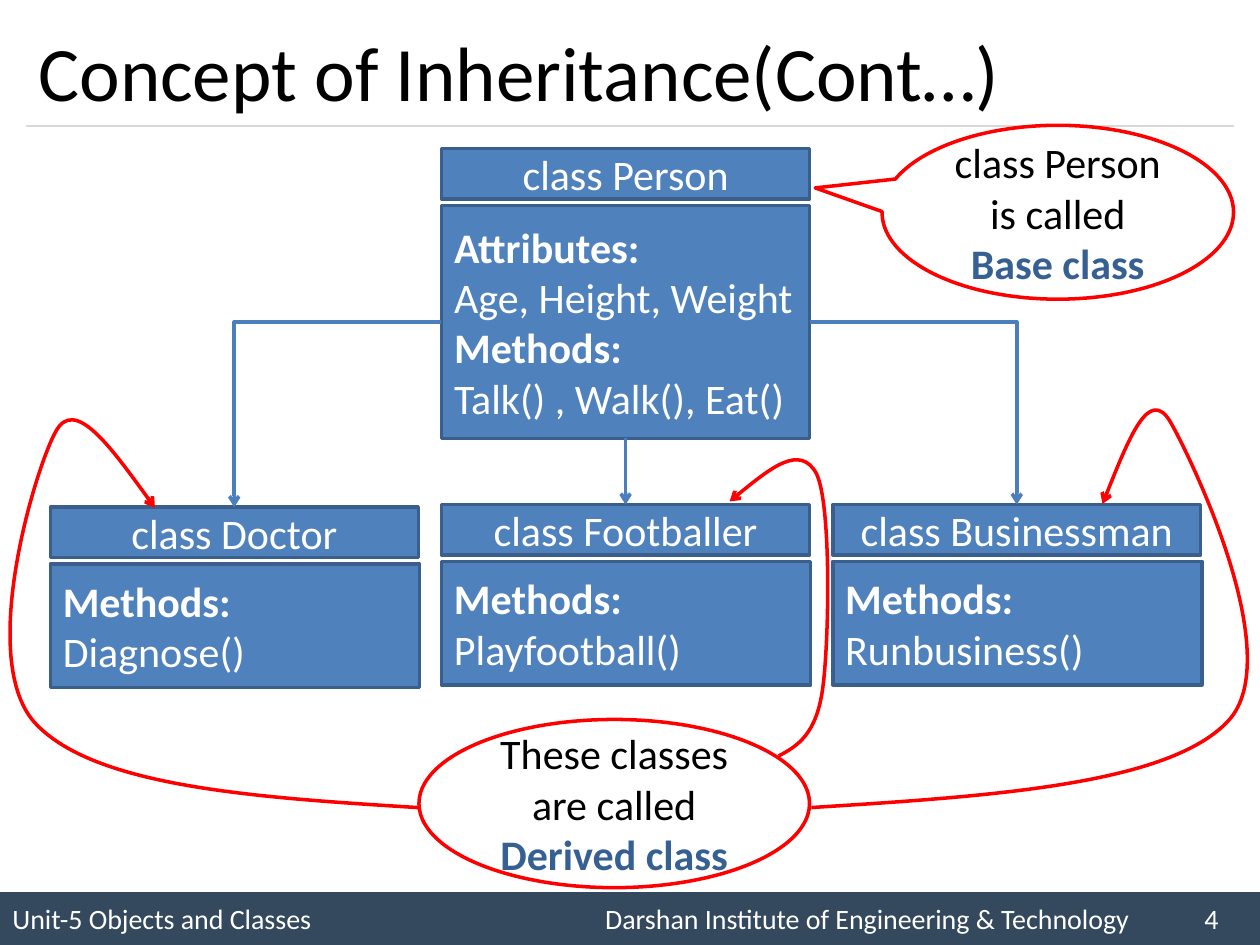
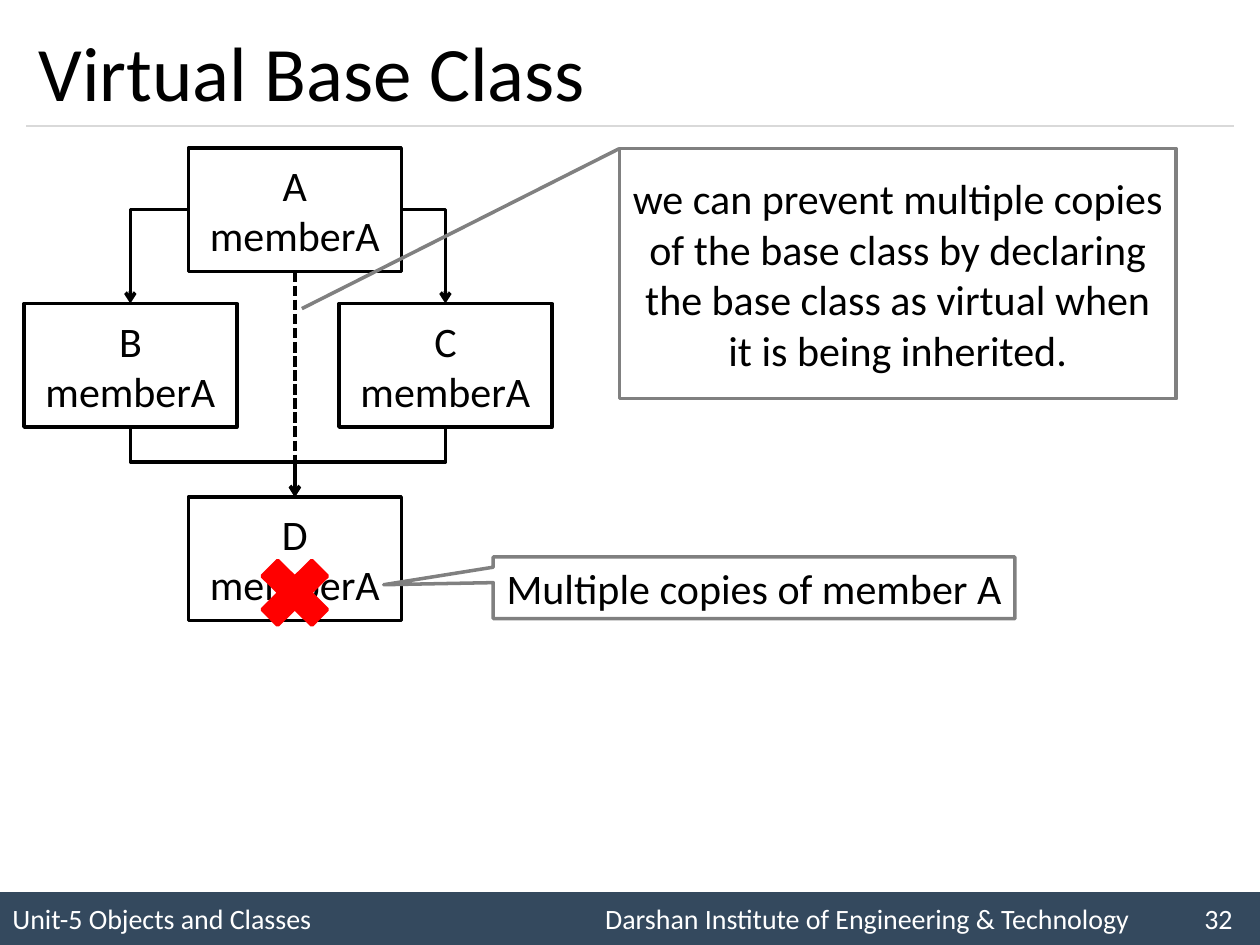
from lxml.etree import SubElement
from pptx import Presentation
from pptx.dml.color import RGBColor
from pptx.enum.dml import MSO_LINE
from pptx.enum.shapes import MSO_CONNECTOR, MSO_SHAPE
from pptx.enum.text import MSO_ANCHOR, PP_ALIGN
from pptx.oxml.ns import qn
from pptx.util import Inches, Pt

WHITE = RGBColor(0xFF, 0xFF, 0xFF)
BLACK = RGBColor(0x00, 0x00, 0x00)
RED = RGBColor(0xFF, 0x00, 0x00)
GRAY = RGBColor(0x80, 0x80, 0x80)
RULE_GRAY = RGBColor(0xD9, 0xD9, 0xD9)
SLATE = RGBColor(0x34, 0x49, 0x5E)
BLUE = RGBColor(0x4F, 0x81, 0xBD)
BLUE_EDGE = RGBColor(0x3A, 0x5F, 0x8C)
BLUE_LINE = RGBColor(0x4B, 0x7E, 0xBC)
TERM_BLUE = RGBColor(0x37, 0x60, 0x92)

FONT = "Calibri"
COLUMNS, ROWS = 100, 75
TOP, LEFT, BOTTOM, RIGHT = range(4)
UNIT = "Unit-5 Objects and Classes"
INSTITUTE = "Darshan Institute of Engineering & Technology"


def write_text(frame, paragraphs, size=24, color=BLACK, align=PP_ALIGN.LEFT, tabs=()):
    """Fill a frame; a paragraph is a list of (text, font overrides) runs."""
    frame.word_wrap = True
    frame.vertical_anchor = MSO_ANCHOR.MIDDLE
    for index, runs in enumerate(paragraphs):
        paragraph = frame.add_paragraph() if index else frame.paragraphs[0]
        paragraph.alignment = align
        if tabs:
            tab_list = SubElement(paragraph._p.get_or_add_pPr(), qn("a:tabLst"))
            for position in tabs:
                SubElement(tab_list, qn("a:tab"), pos=str(position), algn="l")
        for text, overrides in runs:
            run = paragraph.add_run()
            run.text = text
            run.font.name = FONT
            run.font.size = Pt(size)
            run.font.bold = overrides.get("bold", False)
            run.font.color.rgb = overrides.get("color", color)


def plain(*lines):
    return [[(line, {})] for line in lines]


def heading(text):
    return [(text, {"bold": True})]


def bezier(start, control_1, control_2, end, steps=40):
    """Points along a cubic curve, without its start."""
    points = []
    for step in range(1, steps + 1):
        t = step / steps
        weights = ((1 - t) ** 3, 3 * t * (1 - t) ** 2, 3 * t * t * (1 - t), t ** 3)
        points.append(tuple(
            sum(weight * value for weight, value in zip(weights, axis))
            for axis in zip(start, control_1, control_2, end)))
    return points


class Deck:
    """Slide style and drawing methods; lengths are grid columns and rows."""

    def __init__(self):
        self.presentation = Presentation()
        self.presentation.slide_width = Inches(10)
        self.presentation.slide_height = Inches(7.5)
        self.column = self.presentation.slide_width / COLUMNS
        self.row = self.presentation.slide_height / ROWS
        self.slide = None

    def x(self, columns):
        return round(columns * self.column)

    def y(self, rows):
        return round(rows * self.row)

    def start_slide(self, title, number):
        self.slide = self.presentation.slides.add_slide(self.presentation.slide_layouts[5])
        placeholder = self.slide.shapes.title
        placeholder.left, placeholder.top = self.x(2.05), self.y(1.2)
        placeholder.width, placeholder.height = self.x(95.8), self.y(8.8)
        write_text(placeholder.text_frame, plain(title), size=44)
        self.box(0, 70.8, COLUMNS, 4.2, plain(f"{UNIT}\t{INSTITUTE}\t{number}"),
                 fill=SLATE, size=16, color=WHITE, tabs=(self.x(47.05), self.x(94.6)))
        self.line((2.1, 10), (97.9, 10), RULE_GRAY, width=0.75)

    def box(self, left, top, width, height, paragraphs=(), kind=MSO_SHAPE.RECTANGLE,
            fill=None, edge=None, adjustments=(), **text_format):
        shape = self.slide.shapes.add_shape(
            kind, self.x(left), self.y(top), self.x(width), self.y(height))
        for index, value in enumerate(adjustments):
            shape.adjustments[index] = value
        self.paint(shape, fill, edge)
        if paragraphs:
            write_text(shape.text_frame, paragraphs, **text_format)
        return shape

    def paint(self, shape, fill, edge):
        shape.shadow.inherit = False
        if fill is None:
            shape.fill.background()
        else:
            shape.fill.solid()
            shape.fill.fore_color.rgb = fill
        if edge is None:
            shape.line.fill.background()
        else:
            self.stroke(shape, edge)

    def stroke(self, shape, color, width=2.0, dash=None, arrow=False):
        shape.line.color.rgb = color
        shape.line.width = Pt(width)
        if dash is not None:
            shape.line.dash_style = dash
        if arrow:
            SubElement(shape._element.spPr.find(qn("a:ln")), qn("a:tailEnd"), type="arrow")

    def line(self, start, end, color, begin=None, **stroke_format):
        connector = self.slide.shapes.add_connector(
            MSO_CONNECTOR.STRAIGHT, self.x(start[0]), self.y(start[1]),
            self.x(end[0]), self.y(end[1]))
        if begin:
            connector.begin_connect(*begin)
        self.stroke(connector, color, **stroke_format)
        SubElement(connector._element.spPr, qn("a:effectLst"))
        return connector

    def join(self, begin_shape, begin_side, end_shape, color):
        """Arrow from a side of one shape to the top of another."""
        connector = self.line((0, 0), (1, 1), color, arrow=True)
        connector.begin_connect(begin_shape, begin_side)
        connector.end_connect(end_shape, TOP)
        across = connector.end_x - connector.begin_x
        geometry = connector._element.spPr.find(qn("a:prstGeom"))
        if begin_side in (LEFT, RIGHT):
            geometry.set("prst", "bentConnector2")
        elif across:
            geometry.set("prst", "bentConnector3")
            self.turn_downward(connector, across)

    def turn_downward(self, connector, across):
        """Rotate an elbow so that it leaves and arrives vertically."""
        center_x = connector.left + connector.width // 2
        center_y = connector.top + connector.height // 2
        connector.width, connector.height = connector.height, connector.width
        connector.left = center_x - connector.width // 2
        connector.top = center_y - connector.height // 2
        transform = connector._element.spPr.find(qn("a:xfrm"))
        transform.set("rot", str((270 if across > 0 else 90) * 60000))
        transform.set("flipH", "1" if across > 0 else "0")

    def curve(self, start, segments, color):
        """Arrow along cubic segments, framed by the extent of the curve."""
        points = [start]
        for segment in segments:
            points += bezier(points[-1], *segment)
        outline = [(self.x(column), self.y(row)) for column, row in points]
        builder = self.slide.shapes.build_freeform(*outline[0])
        builder.add_line_segments(outline[1:], close=False)
        shape = builder.convert_to_shape()
        path = next(shape._element.iter(qn("a:path")))
        for straight in path.findall(qn("a:lnTo")):
            path.remove(straight)
        for segment in segments:
            cubic = SubElement(path, qn("a:cubicBezTo"))
            for column, row in segment:
                SubElement(cubic, qn("a:pt"), x=str(self.x(column) - shape.left),
                           y=str(self.y(row) - shape.top))
        self.paint(shape, None, None)
        self.stroke(shape, color, arrow=True)

    def class_card(self, left, top, name, members, height=9.8):
        """Name box above a member box; returns both."""
        style = dict(fill=BLUE, edge=BLUE_EDGE, color=WHITE)
        body = self.box(left, top + 4.5, 29.3, height, members, **style)
        header = self.box(left, top, 29.2, 4, plain(f"class {name}"),
                          align=PP_ALIGN.CENTER, **style)
        return header, body


def inheritance_slide(deck):
    deck.start_slide("Concept of Inheritance(Cont…)", 4)
    children = [("Doctor", "Diagnose()", 40.25), ("Footballer", "Playfootball()", 40.05),
                ("Businessman", "Runbusiness()", 40.05)]
    headers = [
        deck.class_card(4 + 31.05 * index, top, name,
                        [heading("Methods:"), *plain(method)])[0]
        for index, (name, method, top) in enumerate(children)]
    person_header, person = deck.class_card(
        35.05, 11.8, "Person",
        [heading("Attributes:"), *plain("Age, Height, Weight"),
         heading("Methods:"), *plain("Talk() , Walk(), Eat()")], height=18.5)
    person.width = person_header.width
    for side, header in zip((LEFT, BOTTOM, RIGHT), (headers[0], headers[1], headers[2])):
        deck.join(person, side, header, BLUE_LINE)

    term = {"bold": True, "color": TERM_BLUE}
    deck.box(70, 9.95, 27.9, 13.8, [[("class Person is called ", {}), ("Base class", term)]],
             kind=MSO_SHAPE.OVAL_CALLOUT, edge=RED, adjustments=(-0.69, -0.14),
             align=PP_ALIGN.CENTER)
    deck.box(33.25, 57.1, 31, 13.35,
             [[("These classes are called ", {}), ("Derived class", term)]],
             kind=MSO_SHAPE.OVAL, edge=RED, align=PP_ALIGN.CENTER)

    deck.curve((33.3, 64.1), [((20.5, 63.3), (7.7, 62.5), (2.9, 57.5)),
                              ((-1.9, 52.6), (2.8, 37.2), (4.4, 34.3)),
                              ((5.9, 31.4), (9.1, 35.9), (12.3, 40.3))], RED)
    deck.curve((64.4, 64.1), [((78.6, 63.2), (92.8, 62.3), (97.5, 57.2)),
                              ((102.2, 52.1), (94.5, 36.3), (92.9, 33.5)),
                              ((91.2, 30.6), (89.4, 35.3), (87.5, 40))], RED)
    deck.curve((61.8, 60), [((63.3, 59.2), (64.8, 58.3), (65.3, 54.6)),
                            ((65.8, 50.9), (66, 40.1), (64.8, 37.6)),
                            ((63.5, 35.2), (60.7, 37.5), (57.9, 39.8))], RED)


def virtual_base_slide(deck):
    deck.start_slide("Virtual Base Class", 32)
    places = {"A": (14.95, 11.75), "B": (1.9, 24.1), "C": (26.9, 24.1), "D": (14.95, 39.45)}
    boxes = {
        name: deck.box(left, top, 16.9, 9.8, plain(name, "memberA"),
                       fill=WHITE, edge=BLACK, align=PP_ALIGN.CENTER)
        for name, (left, top) in places.items()}
    for begin, side, end in (("A", LEFT, "B"), ("A", RIGHT, "C"),
                             ("B", BOTTOM, "D"), ("C", BOTTOM, "D")):
        deck.join(boxes[begin], side, boxes[end], BLACK)

    deck.box(19.6, 43.3, 7.6, 7.5, kind=MSO_SHAPE.MATH_MULTIPLY, fill=RED, edge=RED)
    deck.box(39.15, 44.2, 41.4, 4.9, plain("Multiple copies of member A"),
             kind=MSO_SHAPE.RECTANGULAR_CALLOUT, edge=GRAY,
             adjustments=(-0.71, -0.05), align=PP_ALIGN.CENTER)
    deck.line((23.4, 21.55), (23.4, 36.7), BLACK, begin=(boxes["A"], BOTTOM),
              dash=MSO_LINE.SQUARE_DOT)
    deck.box(49.15, 11.8, 44.2, 19.85,
             plain("we can prevent multiple copies of the base class by declaring "
                   "the base class as virtual when it is being inherited."),
             kind=MSO_SHAPE.LINE_CALLOUT_1, edge=GRAY,
             adjustments=(0, 0, 0.64, -0.57), align=PP_ALIGN.CENTER)


def main():
    deck = Deck()
    inheritance_slide(deck)
    virtual_base_slide(deck)
    deck.presentation.save("out.pptx")


if __name__ == "__main__":
    main()
